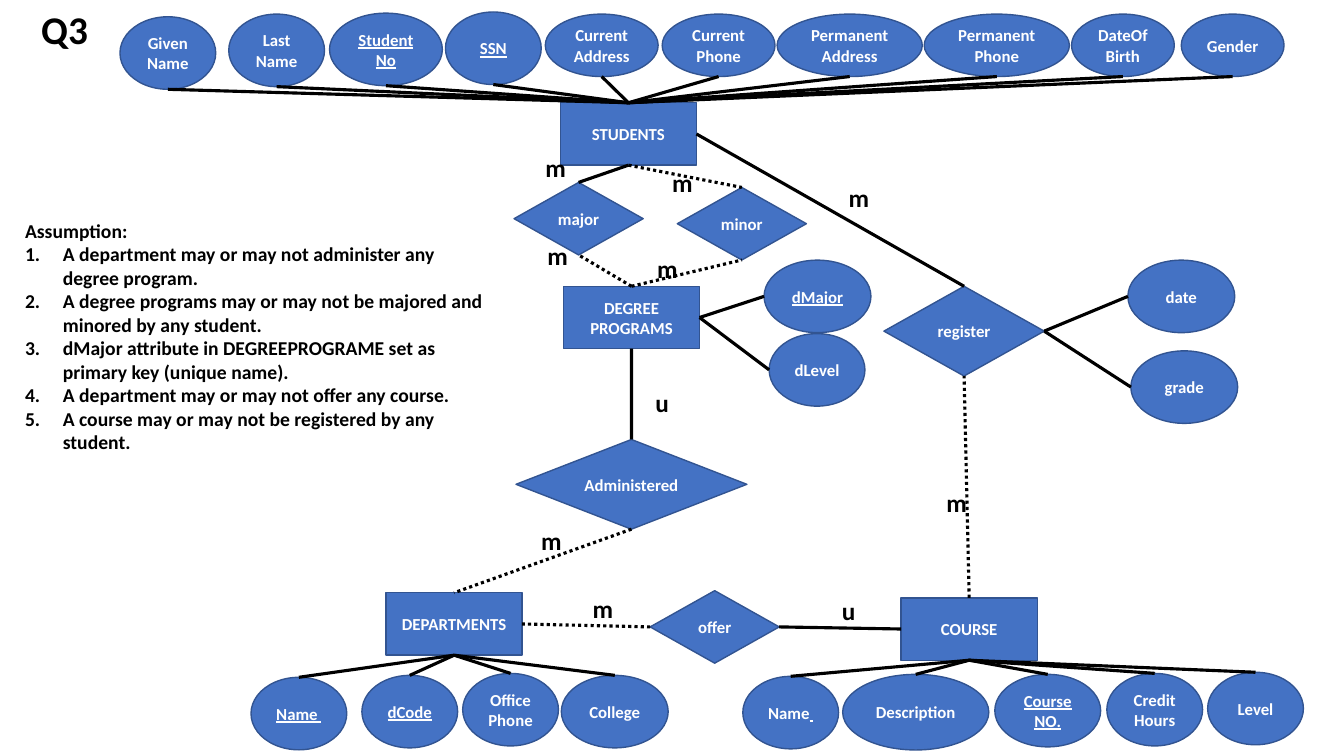
from lxml import etree
from pptx import Presentation
from pptx.dml.color import RGBColor
from pptx.enum.dml import MSO_LINE
from pptx.enum.shapes import MSO_CONNECTOR, MSO_SHAPE
from pptx.enum.text import MSO_ANCHOR, PP_ALIGN
from pptx.oxml.ns import qn
from pptx.util import Pt

BLUE = RGBColor(0x44, 0x72, 0xC4)
OUTLINE = RGBColor(0x32, 0x54, 0x91)
WHITE = RGBColor(0xFF, 0xFF, 0xFF)
BLACK = RGBColor(0x00, 0x00, 0x00)
FONT = "Calibri"

RECTANGLE = MSO_SHAPE.RECTANGLE
OVAL = MSO_SHAPE.OVAL
DIAMOND = MSO_SHAPE.DIAMOND
STRAIGHT = MSO_CONNECTOR.STRAIGHT
DOTTED = MSO_LINE.ROUND_DOT
CENTER = PP_ALIGN.CENTER
LEFT_ALIGN = PP_ALIGN.LEFT
MIDDLE = MSO_ANCHOR.MIDDLE
TOP_ANCHOR = MSO_ANCHOR.TOP

TOP, LEFT, BOTTOM, RIGHT = range(4)
LAYOUT_TITLE_ONLY = 5
ENTITY_SIZE = (97.2, 44.6)
SMALL, WIDE = (68.4, 51.8), (76.3, 51.8)
FLAT, LONG = (80.6, 44.6), (103.7, 44.6)
MINOR_DIAMOND = (92.2, 51.8)

STUDENT_ATTRIBUTES = [
    ("Given\vName", 85.7, 12, SMALL, False),
    ("Last\vName", 163.4, 10.1, SMALL, False),
    ("Student\vNo", 235.4, 9.4, (80.6, 51.8), True),
    ("SSN", 318.2, 8.6, SMALL, True),
    ("Current\nAddress", 389.5, 10.1, FLAT, False),
    ("Current\nPhone", 473, 10.1, FLAT, False),
    ("Permanent\nAddress", 555.1, 10.1, LONG, False),
    ("Permanent\nPhone", 660.2, 10.1, LONG, False),
    ("DateOf\vBirth", 765.4, 10.1, (73.4, 44.6), False),
    ("Gender", 843.8, 10.1, (73.4, 44.6), False),
]
DEPARTMENT_ATTRIBUTES = [
    ("Name ", 179.3, 483.8, SMALL, True),
    ("dCode", 258.5, 482.4, SMALL, True),
    ("Office\vPhone", 330.5, 481, SMALL, False),
    ("College", 401, 482.4, WIDE, False),
]
DEGREE_ATTRIBUTES = [
    ("dLevel", 549.4, 238.3, SMALL, False),
    ("dMajor", 545.8, 185.8, WIDE, True),
]
COURSE_ATTRIBUTES = [
    ("Name", 530.6, 483.1, SMALL, False),
    ("Description", 601.9, 481.7, (104.4, 54), False),
    ("Course\nNO.", 710.6, 481.7, (75.6, 51.8), True),
    ("Credit\vHours", 790.6, 481, SMALL, False),
    ("Level", 862.6, 480.2, SMALL, False),
]
REGISTER_ATTRIBUTES = [
    ("date", 805.7, 185.8, WIDE, False),
    ("grade", 807.8, 250.6, WIDE, False),
]
CARDINALITIES = [
    ("m", 480.2, 115.9), ("m", 389.5, 105.1), ("m", 391, 167.8),
    ("m", 469.4, 177.1), ("m", 423.4, 420.5), ("u", 599, 421.9),
    ("m", 606.2, 126.7), ("m", 676.1, 344.9), ("u", 465.8, 272.9),
    ("m", 386.6, 371.5),
]
ASSUMPTIONS = [
    "A department may or may not administer any degree program.",
    "A degree programs may or may not be majored and minored by any student.",
    "dMajor attribute in DEGREEPROGRAME set as primary key (unique name).",
    "A department may or may not offer any course.",
    "A course may or may not be registered by any student.",
]


def write(frame, text, size, color, align=CENTER, underline=None):
    frame.text = text
    for paragraph in frame.paragraphs:
        paragraph.alignment = align
        paragraph.line_spacing = 1.0
        font = paragraph.font
        font.name, font.size, font.bold = FONT, Pt(size), True
        font.color.rgb = color
        font.underline = underline


def add_node(slide, kind, text, x, y, size, underline=None):
    node = slide.shapes.add_shape(kind, Pt(x), Pt(y), Pt(size[0]), Pt(size[1]))
    node.shadow.inherit = False
    node.fill.solid()
    node.fill.fore_color.rgb = BLUE
    node.line.color.rgb = OUTLINE
    node.line.width = Pt(1)
    frame = node.text_frame
    frame.margin_left = frame.margin_right = 0
    frame.vertical_anchor = MIDDLE
    write(frame, text, 12, WHITE, underline=underline)
    return node


def anchor(node, side):
    middle_x = node.left + node.width // 2
    middle_y = node.top + node.height // 2
    return {
        TOP: (middle_x, node.top),
        LEFT: (node.left, middle_y),
        BOTTOM: (middle_x, node.top + node.height),
        RIGHT: (node.left + node.width, middle_y),
    }[side]


def link(slide, start, start_side, end, end_side, dotted=False):
    line = slide.shapes.add_connector(
        STRAIGHT, *anchor(start, start_side), *anchor(end, end_side))
    line.begin_connect(start, start_side)
    if end.auto_shape_type != OVAL:
        line.end_connect(end, end_side)
    line.line.color.rgb = BLACK
    line.line.width = Pt(2.25)
    if dotted:
        line.line.dash_style = DOTTED
    etree.SubElement(line._element.spPr, qn("a:effectLst"))


def add_attributes(slide, owner, owner_side, attributes, attribute_side):
    ovals = [add_node(slide, OVAL, text, x, y, size, key or None)
             for text, x, y, size, key in attributes]
    for oval in ovals:
        link(slide, owner, owner_side, oval, attribute_side)
    return ovals


def add_cardinality(slide, text, x, y):
    frame = slide.shapes.add_textbox(Pt(x), Pt(y), Pt(14.4), Pt(28.8)).text_frame
    frame.margin_left = frame.margin_right = 0
    frame.word_wrap = False
    write(frame, text, 18, BLACK)


def add_assumptions(slide):
    frame = slide.shapes.add_textbox(Pt(10.8), Pt(152.6), Pt(349.9), Pt(177.1)).text_frame
    frame.word_wrap = True
    write(frame, "\n".join(["Assumption:"] + ASSUMPTIONS), 14, BLACK, LEFT_ALIGN)
    for paragraph in frame.paragraphs[1:]:
        properties = paragraph._p.get_or_add_pPr()
        properties.set("marL", str(Pt(27)))
        properties.set("indent", str(-Pt(27)))
        numbering = etree.Element(qn("a:buAutoNum"), type="arabicPeriod")
        properties.find(qn("a:defRPr")).addprevious(numbering)


def set_title(slide, text):
    title = slide.shapes.title
    title.left, title.top, title.width, title.height = 0, 0, Pt(92.2), Pt(41)
    title.text_frame.vertical_anchor = TOP_ANCHOR
    write(title.text_frame, text, 28, BLACK)


def main():
    deck = Presentation()
    deck.slide_width, deck.slide_height = Pt(960), Pt(540)
    slide = deck.slides.add_slide(deck.slide_layouts[LAYOUT_TITLE_ONLY])
    set_title(slide, "Q3")

    students = add_node(slide, RECTANGLE, "STUDENTS", 400.3, 73.4, ENTITY_SIZE)
    departments = add_node(slide, RECTANGLE, "DEPARTMENTS", 275.8, 423.4, ENTITY_SIZE)
    degrees = add_node(slide, RECTANGLE, "DEGREE\nPROGRAMS", 402.5, 204.5, ENTITY_SIZE)
    course = add_node(slide, RECTANGLE, "COURSE", 643.7, 427, ENTITY_SIZE)
    major = add_node(slide, DIAMOND, "major", 367.2, 130.3, MINOR_DIAMOND)
    minor = add_node(slide, DIAMOND, "minor", 483.8, 133.9, MINOR_DIAMOND)
    offer = add_node(slide, DIAMOND, "offer", 464.4, 421.9, MINOR_DIAMOND)
    register = add_node(slide, DIAMOND, "register", 631.4, 204.5, (114.5, 64.1))
    administered = add_node(slide, DIAMOND, "Administered", 368.6, 313.9, (164.9, 64.1))

    add_attributes(slide, students, TOP, STUDENT_ATTRIBUTES, BOTTOM)
    add_attributes(slide, departments, BOTTOM, DEPARTMENT_ATTRIBUTES, TOP)
    add_attributes(slide, degrees, RIGHT, DEGREE_ATTRIBUTES, LEFT)
    add_attributes(slide, register, RIGHT, REGISTER_ATTRIBUTES, LEFT)
    course_name = add_attributes(slide, course, BOTTOM, COURSE_ATTRIBUTES, TOP)[0]
    underlined_space = course_name.text_frame.paragraphs[0].add_run()
    underlined_space.text = " "
    underlined_space.font.underline = True

    link(slide, students, BOTTOM, major, TOP)
    link(slide, students, BOTTOM, minor, TOP, dotted=True)
    link(slide, degrees, TOP, major, BOTTOM, dotted=True)
    link(slide, degrees, TOP, minor, BOTTOM, dotted=True)
    link(slide, students, RIGHT, register, TOP)
    link(slide, course, TOP, register, BOTTOM, dotted=True)
    link(slide, course, LEFT, offer, RIGHT)
    link(slide, offer, LEFT, departments, RIGHT, dotted=True)
    link(slide, degrees, BOTTOM, administered, TOP)
    link(slide, administered, BOTTOM, departments, TOP, dotted=True)

    for text, x, y in CARDINALITIES:
        add_cardinality(slide, text, x, y)
    add_assumptions(slide)
    deck.save("out.pptx")


if __name__ == "__main__":
    main()
